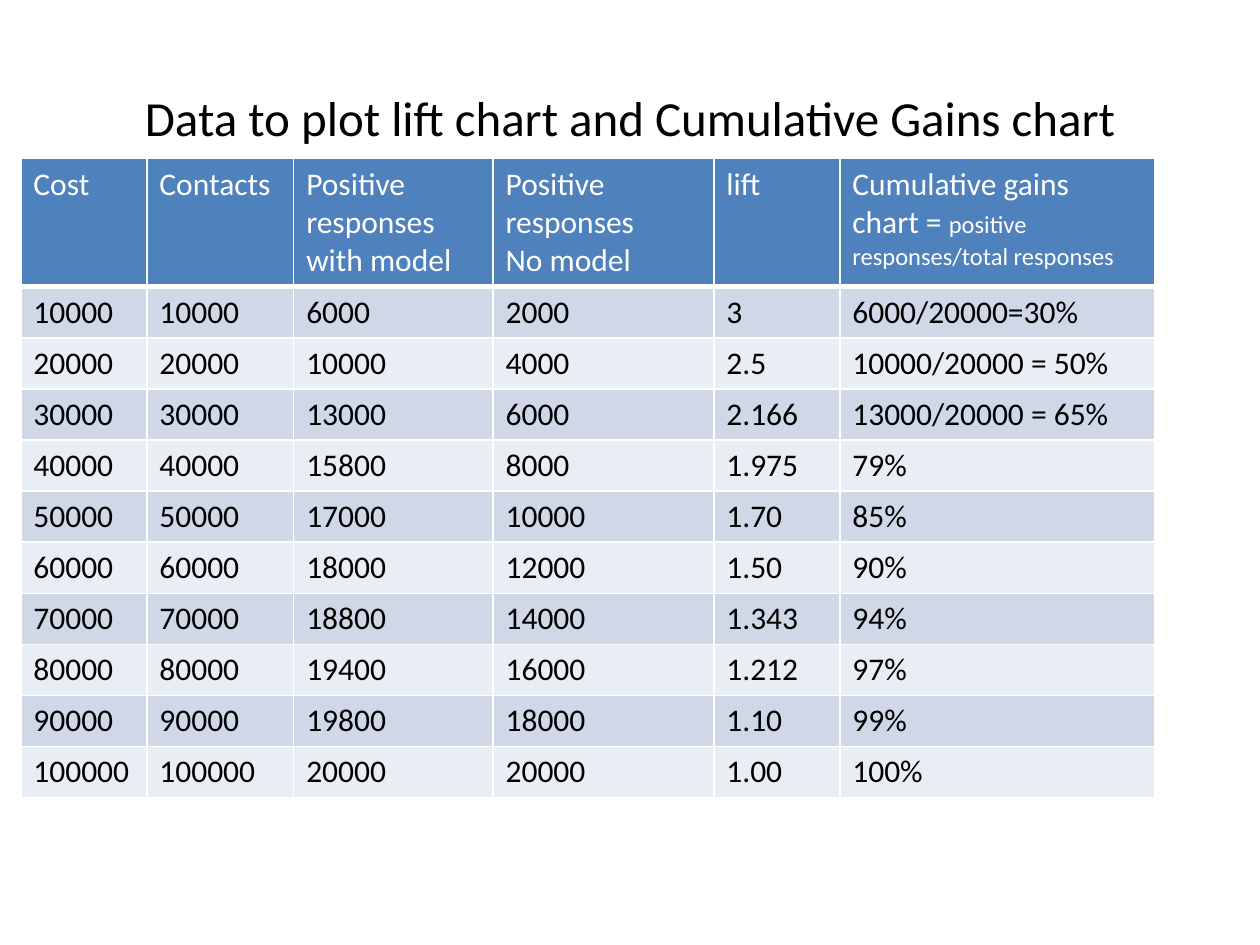
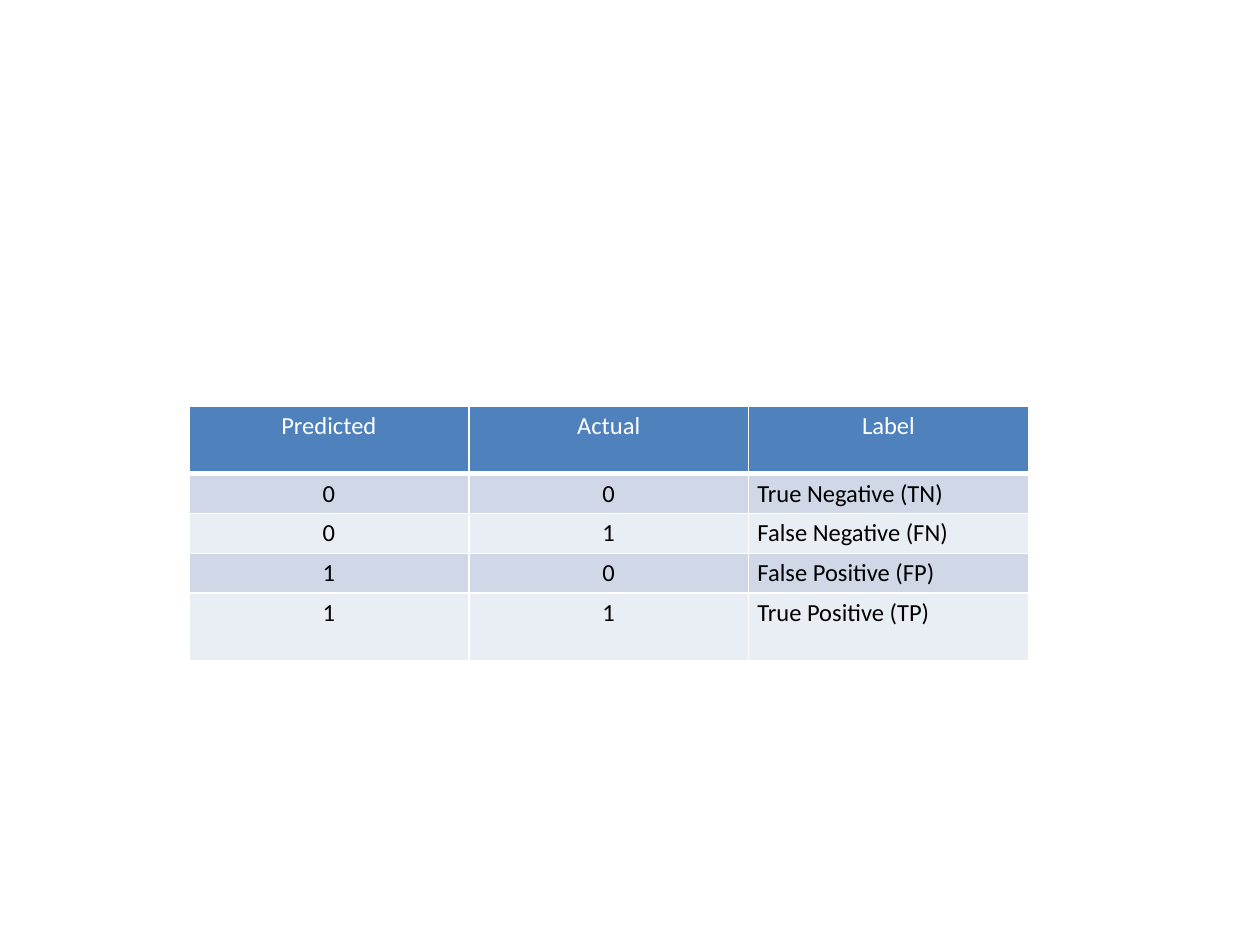
import pptx
import pptx.dml.color
import pptx.enum.text
import pptx.oxml
import pptx.oxml.ns
import pptx.util

Cm = pptx.util.Cm
Pt = pptx.util.Pt
Align = pptx.enum.text.PP_ALIGN

COLORS = {"header": "4F81BD", "odd": "D0D8E8", "even": "E9EDF4", "grid": "FFFFFF",
          "header_text": "FFFFFF", "text": "000000"}
FONT = "Calibri"
TITLE_LAYOUT, BLANK_LAYOUT = 5, 6


def color(key):
    """Return the named palette colour."""
    return pptx.dml.color.RGBColor.from_string(COLORS[key])


def add_run(paragraph, text, size, color_key):
    """Append one formatted run to a paragraph."""
    run = paragraph.add_run()
    run.text = text
    run.font.name = FONT
    run.font.size = Pt(size)
    run.font.bold = False
    run.font.color.rgb = color(color_key)


def add_title(slide, text, box):
    """Place and fill the title placeholder in the box."""
    title = slide.shapes.title
    title.left, title.top, title.width, title.height = map(Cm, box)
    title.text_frame.vertical_anchor = pptx.enum.text.MSO_ANCHOR.MIDDLE
    paragraph = title.text_frame.paragraphs[0]
    paragraph.alignment = Align.CENTER
    add_run(paragraph, text, 28, "text")


def add_borders(cell, bottom_width):
    """Draw grid lines on all four sides of a cell."""
    properties = cell._tc.get_or_add_tcPr()
    for side, width in (("L", 1), ("R", 1), ("T", 1), ("B", bottom_width)):
        properties.append(pptx.oxml.parse_xml(
            f'<a:ln{side} {pptx.oxml.ns.nsdecls("a")} w="{Pt(width)}"><a:solidFill>'
            f'<a:srgbClr val="{COLORS["grid"]}"/></a:solidFill></a:ln{side}>'))


def fill_cell(cell, paragraphs, size, is_header, band, alignment):
    """Style a cell and write its paragraphs of (text, size) runs or plain strings."""
    add_borders(cell, 3 if is_header else 1)
    cell.fill.solid()
    cell.fill.fore_color.rgb = color(band)
    for number, runs in enumerate(paragraphs):
        frame = cell.text_frame
        paragraph = frame.add_paragraph() if number else frame.paragraphs[0]
        paragraph.alignment = alignment
        for text, run_size in [(runs, size)] if isinstance(runs, str) else runs:
            add_run(paragraph, text, run_size, "header_text" if is_header else "text")


def add_banded_table(slide, origin, widths, heights, rows, size, align, margins=None):
    """Build a banded table at the origin; align maps (row, column) to an alignment."""
    left, top = origin
    table = slide.shapes.add_table(len(rows), len(widths), Cm(left), Cm(top),
                                   Cm(sum(widths)), Cm(sum(heights))).table
    for column, width in zip(table.columns, widths):
        column.width = Cm(width)
    for row, height in zip(table.rows, heights):
        row.height = Cm(height)
    for r, values in enumerate(rows):
        band = "header" if r == 0 else "odd" if r % 2 else "even"
        for c, value in enumerate(values):
            cell = table.cell(r, c)
            if margins:
                cell.margin_left = cell.margin_right = Cm(margins[0])
                cell.margin_top = cell.margin_bottom = Cm(margins[1])
            paragraphs = [value] if isinstance(value, str) else value
            fill_cell(cell, paragraphs, size, r == 0, band, align(r, c))


def add_lift_slide(deck):
    """Add the slide with the lift and cumulative gains data."""
    slide = deck.slides.add_slide(deck.slide_layouts[TITLE_LAYOUT])
    add_title(slide, "Data to plot lift chart and Cumulative Gains chart",
              (1.27, 0.76, 22.86, 3.18))
    header = ["Cost", "Contacts", ["Positive responses", "with model"],
              ["Positive responses", "No model"], "lift",
              [[("Cumulative gains chart = ", 18),
                ("positive responses/total responses", 14)]]]
    model_results = [
        ("6000", "3", "6000/20000=30%"),
        ("10000", "2.5", "10000/20000 = 50%"),
        ("13000", "2.166", "13000/20000 = 65%"),
        ("15800", "1.975", "79%"),
        ("17000", "1.70", "85%"),
        ("18000", "1.50", "90%"),
        ("18800", "1.343", "94%"),
        ("19400", "1.212", "97%"),
        ("19800", "1.10", "99%"),
        ("20000", "1.00", "100%"),
    ]
    rows = [header]
    for step, (responses, lift, gains) in enumerate(model_results, start=1):
        contacts = str(step * 10000)
        rows.append([contacts, contacts, responses, str(step * 2000), lift, gains])
    add_banded_table(slide, (0.42, 3.2), [2.54, 2.96, 4.02, 4.45, 2.54, 6.35],
                     [2.57] + [1.03] * len(model_results), rows, 18,
                     lambda r, c: Align.LEFT)


def add_label_slide(deck):
    """Add the slide that names each pair of predicted and actual values."""
    slide = deck.slides.add_slide(deck.slide_layouts[BLANK_LAYOUT])
    rows = [
        ("Predicted", "Actual", "Label"),
        ("0", "0", "True Negative (TN)"),
        ("0", "1", "False Negative (FN)"),
        ("1", "0", "False Positive (FP)"),
        ("1", "1", "True Positive (TP)"),
    ]
    add_banded_table(slide, (3.81, 8.18), [5.64] * 3, [1.37, 0.79, 0.79, 0.79, 1.37],
                     rows, 14,
                     lambda r, c: Align.LEFT if r and c == 2 else Align.CENTER,
                     margins=(0.18, 0.1))


def main():
    """Build and save the presentation."""
    deck = pptx.Presentation()
    deck.slide_width, deck.slide_height = Cm(25.4), Cm(19.05)
    add_lift_slide(deck)
    add_label_slide(deck)
    deck.save("out.pptx")


main()
